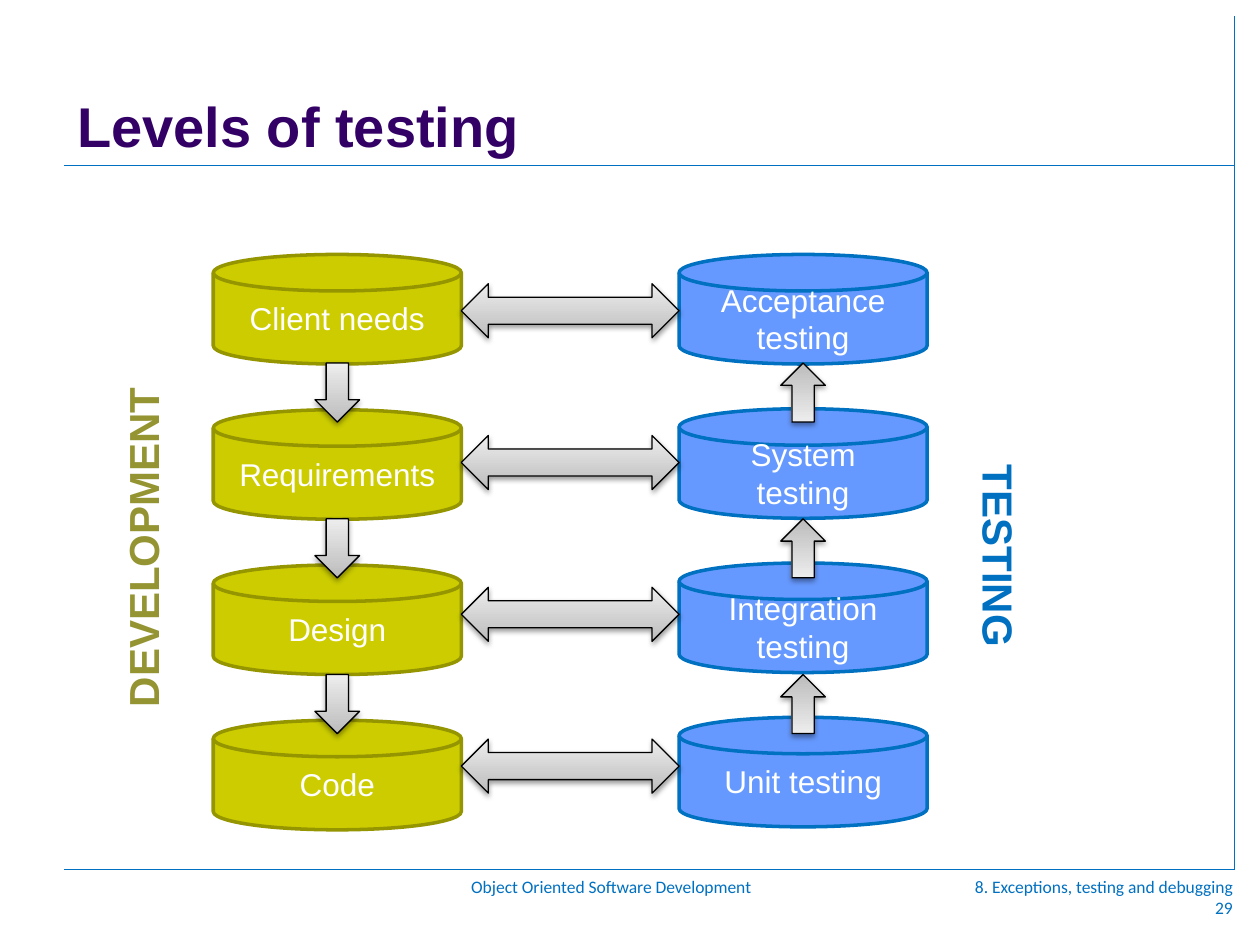
from lxml.etree import SubElement
from pptx import Presentation
from pptx.dml.color import RGBColor
from pptx.enum.shapes import MSO_CONNECTOR as Connector, MSO_SHAPE as Shape
from pptx.enum.text import MSO_ANCHOR as Anchor, PP_ALIGN as Align
from pptx.oxml.ns import qn
from pptx.util import Cm, Pt

BLUE = RGBColor(0x00, 0x70, 0xC0)
LIGHT_BLUE = RGBColor(0x66, 0x99, 0xFF)
OLIVE = RGBColor(0x95, 0x95, 0x00)
LIME = RGBColor(0xCC, 0xCC, 0x00)
MOSS = RGBColor(0x94, 0x94, 0x32)
PURPLE = RGBColor(0x33, 0x00, 0x66)
DARK_GREY = RGBColor(0xBC, 0xBC, 0xBC)
LIGHT_GREY = RGBColor(0xED, 0xED, 0xED)
BLACK = RGBColor(0x00, 0x00, 0x00)
WHITE = RGBColor(0xFF, 0xFF, 0xFF)


class SlideBuilder:
    """Draws styled elements on one slide; lengths are in centimetres."""

    heading_font = "Arial"
    footer_font = "Calibri"

    def __init__(self, slide):
        self.slide = slide

    def set_text(self, shape, lines, size, color, align=Align.LEFT,
                 font=heading_font, bold=False):
        frame = shape.text_frame
        frame.text = "\n".join(lines)
        for paragraph in frame.paragraphs:
            paragraph.alignment = align
            paragraph.font.name = font
            paragraph.font.size = Pt(size)
            paragraph.font.bold = bold
            paragraph.font.color.rgb = color

    def title(self, text, left, top, width, height):
        title = self.slide.shapes.title
        title.left, title.top = Cm(left), Cm(top)
        title.width, title.height = Cm(width), Cm(height)
        title.text_frame.vertical_anchor = Anchor.BOTTOM
        self.set_text(title, [text], 32, PURPLE, bold=True)

    def rule(self, x1, y1, x2, y2):
        line = self.slide.shapes.add_connector(
            Connector.STRAIGHT, Cm(x1), Cm(y1), Cm(x2), Cm(y2))
        line.line.color.rgb = BLUE
        line.line.width = Pt(0.75)
        SubElement(line.element.spPr, qn("a:effectLst"))

    def footer(self, lines, left, top, width, align):
        box = self.slide.shapes.add_textbox(Cm(left), Cm(top), Cm(width), Cm(1.12))
        box.text_frame.word_wrap = True
        self.set_text(box, lines, 10, BLUE, align, self.footer_font)

    def shape(self, kind, left, top, width, height, line_color, line_width):
        shape = self.slide.shapes.add_shape(
            kind, Cm(left), Cm(top), Cm(width), Cm(height))
        shape.shadow.inherit = False
        shape.line.color.rgb = line_color
        shape.line.width = Pt(line_width)
        return shape

    def cylinder(self, lines, left, top, fill, outline):
        disk = self.shape(Shape.FLOWCHART_MAGNETIC_DISK, left, top, 5, 2.21, outline, 2)
        disk.fill.solid()
        disk.fill.fore_color.rgb = fill
        disk.text_frame.vertical_anchor = Anchor.MIDDLE
        self.set_text(disk, lines, 18, WHITE, Align.CENTER)

    def arrow(self, kind, left, top, width, height, flipped=False):
        arrow = self.shape(kind, left, top, width, height, BLACK, 0.75)
        arrow.fill.gradient()
        arrow.fill.gradient_angle = 90
        for stop, color in zip(arrow.fill.gradient_stops, (DARK_GREY, LIGHT_GREY)):
            stop.color.rgb = color
        properties = arrow.element.spPr
        if flipped:
            properties.xfrm.set("flipV", "1")
        # Soft shadow below the arrow
        shadow = SubElement(properties.find(qn("a:effectLst")), qn("a:outerShdw"),
                            blurRad="40000", dist="20000", dir="5400000",
                            rotWithShape="0")
        shadow_color = SubElement(shadow, qn("a:srgbClr"), val="000000")
        SubElement(shadow_color, qn("a:alpha"), val="38000")

    def side_label(self, text, left, top, width, rotation, color):
        label = self.shape(Shape.RECTANGLE, left, top, width, 1.27, WHITE, 2)
        label.rotation = rotation
        label.fill.solid()
        label.fill.fore_color.rgb = WHITE
        label.text_frame.word_wrap = False
        label.text_frame.vertical_anchor = Anchor.TOP
        self.set_text(label, [text], 24, color, bold=True)


def main():
    presentation = Presentation()
    presentation.slide_width, presentation.slide_height = Cm(25.4), Cm(19.05)
    builder = SlideBuilder(
        presentation.slides.add_slide(presentation.slide_layouts[5]))

    # Frame, title and footer
    builder.rule(24.89, 0.33, 24.89, 17.53)
    for y in (17.53, 3.33):
        builder.rule(1.3, y, 24.89, y)
    builder.title("Levels of testing", 1.3, 0.33, 20.04, 3)
    builder.footer(["Object Oriented Software Development"], 9.25, 17.53, 7, Align.LEFT)
    builder.footer(["8. Exceptions, testing and debugging", "29"],
                   18.6, 17.53, 6.5, Align.RIGHT)

    # Development and testing columns, each with its vertical arrows
    development = [["Client needs"], ["Requirements"], ["Design"], ["Code"]]
    testing = [["Acceptance testing"], ["System", "testing"],
               ["Integration testing"], ["Unit testing"]]
    columns = [
        (development, 4.3, 3.13, LIME, OLIVE, False),
        (testing, 13.69, 3.11, LIGHT_BLUE, BLUE, True),
    ]
    for levels, left, step, fill, outline, upward in columns:
        for row, lines in enumerate(levels):
            builder.cylinder(lines, left, 5.13 + row * step, fill, outline)
        for row in range(len(levels) - 1):
            builder.arrow(Shape.DOWN_ARROW, left + 2.05, 7.32 + row * 3.14,
                          0.9, 1.19, upward)

    # Arrows between the columns
    for row in range(len(development)):
        builder.arrow(Shape.LEFT_RIGHT_ARROW, 9.3, 5.72 + row * 3.06, 4.39, 1.09)

    # Side labels
    builder.side_label("DEVELOPMENT", -0.61, 10.39, 6.96, 270, MOSS)
    builder.side_label("TESTING", 18.06, 10.57, 4.17, 90, BLUE)

    presentation.save("out.pptx")


if __name__ == "__main__":
    main()
